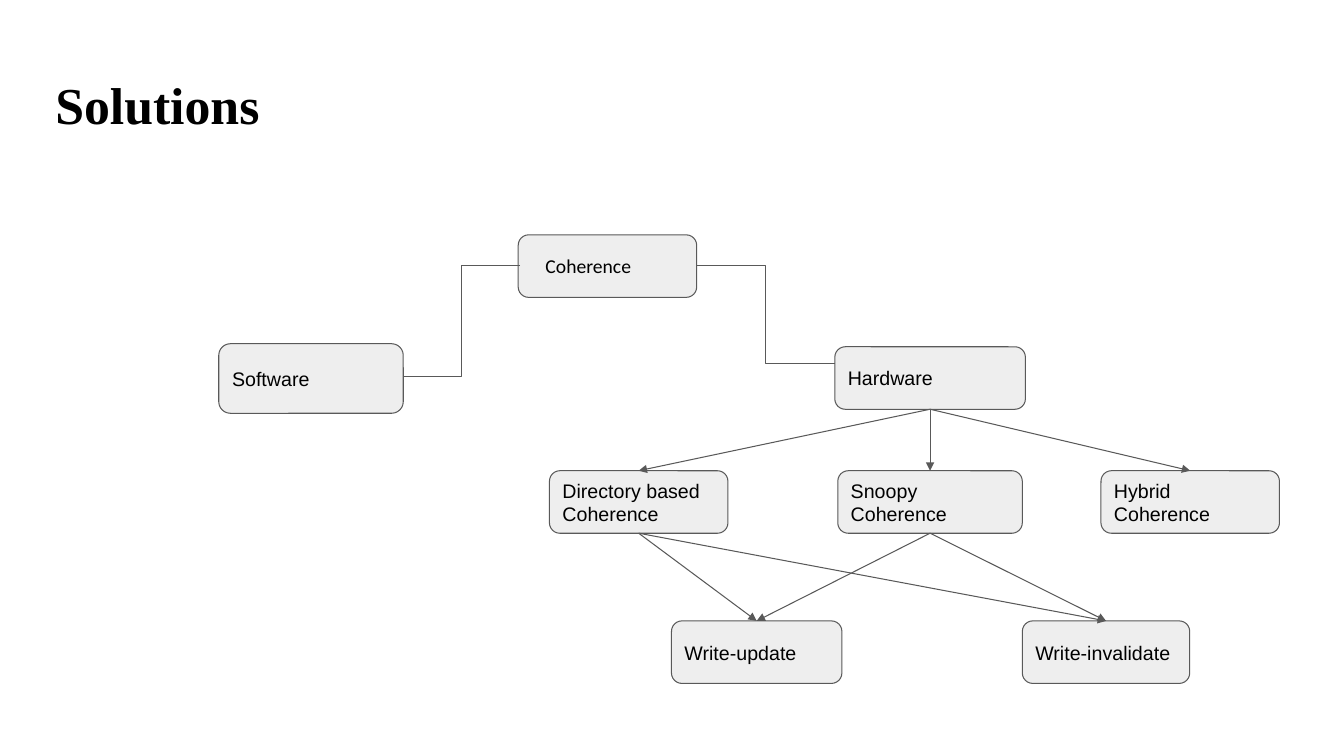
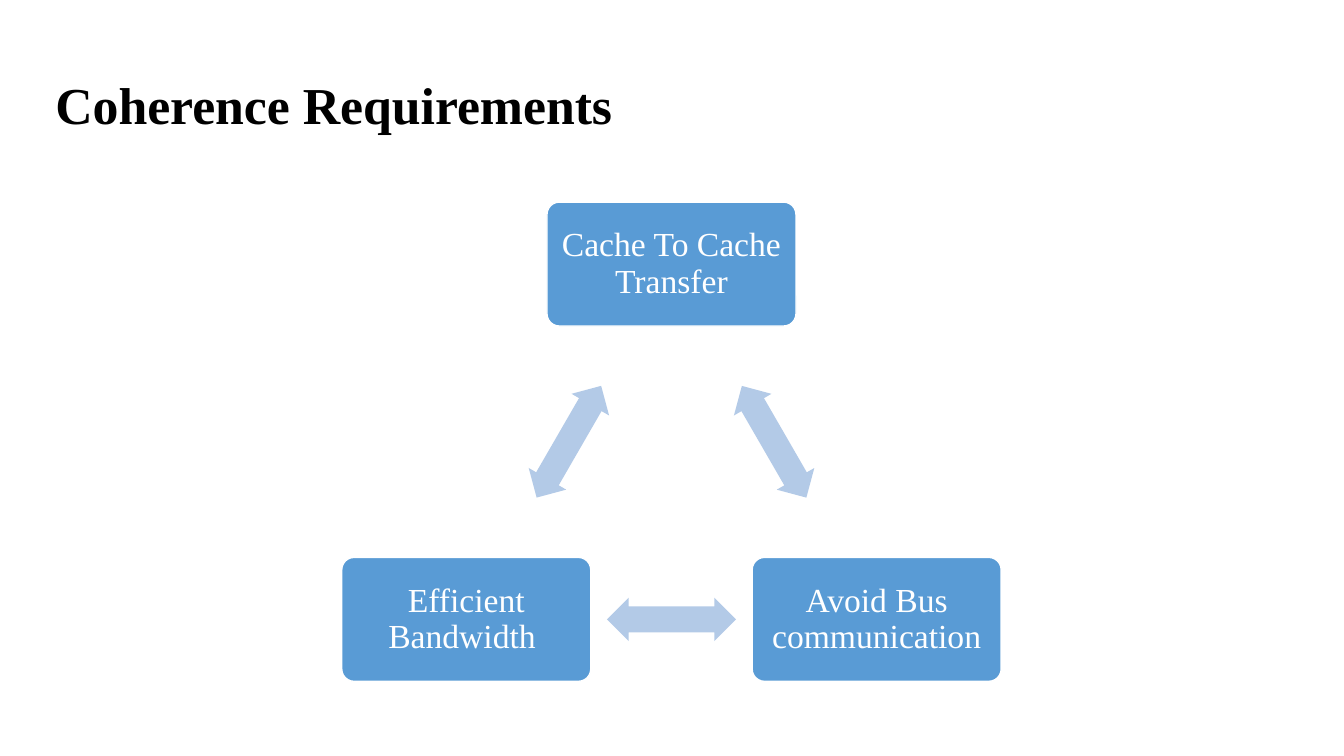
from dataclasses import dataclass
from math import cos, radians, sin

from lxml import etree
from pptx import Presentation
from pptx.dml.color import RGBColor
from pptx.enum.shapes import MSO_CONNECTOR, MSO_SHAPE
from pptx.enum.text import MSO_ANCHOR, PP_ALIGN
from pptx.oxml.ns import qn
from pptx.util import Inches, Pt

ROUND_RECT = MSO_SHAPE.ROUNDED_RECTANGLE
DOUBLE_ARROW = MSO_SHAPE.LEFT_RIGHT_ARROW
STRAIGHT, ELBOW = MSO_CONNECTOR.STRAIGHT, MSO_CONNECTOR.ELBOW
MIDDLE = MSO_ANCHOR.MIDDLE
LEFT, CENTER = PP_ALIGN.LEFT, PP_ALIGN.CENTER
TOP_SITE, BOTTOM_SITE = 0, 2


@dataclass(frozen=True)
class Theme:
    white: str = "FFFFFF"
    black: str = "000000"
    box: str = "EEEEEE"
    line: str = "595959"
    node: str = "599BD5"
    arrow: str = "B3CAE7"
    serif: str = "Times New Roman"
    sans: str = "Arial"
    body: str = "Calibri"
    title_size: int = 37
    node_size: int = 24
    box_size: int = 14
    line_width: float = 0.75


THEME = Theme()


def rgb(value):
    return RGBColor.from_string(value)


def set_attrs(target, values):
    for name, value in values.items():
        setattr(target, name, value)


def write(s, text, font, size, color, align=LEFT, bold=False,
          spacing=1.0, margins=(0.1, 0.1, 0.1, 0.1)):
    """Write one paragraph, centred vertically, into a shape."""
    tf = s.text_frame
    left, top, right, bottom = map(Inches, margins)
    set_attrs(tf, {"word_wrap": True, "vertical_anchor": MIDDLE,
                   "margin_left": left, "margin_top": top,
                   "margin_right": right, "margin_bottom": bottom})
    p = tf.paragraphs[0]
    set_attrs(p, {"alignment": align, "line_spacing": spacing})
    r = p.add_run()
    r.text = text
    set_attrs(r.font, {"name": font, "size": Pt(size), "bold": bold})
    r.font.color.rgb = rgb(color)


def add_slide(prs, title):
    """Add a white slide with its title."""
    slide = prs.slides.add_slide(prs.slide_layouts[6])
    slide.background.fill.solid()
    slide.background.fill.fore_color.rgb = rgb(THEME.white)
    s = slide.shapes.add_textbox(*map(Inches, (0.45, 0.65, 12.42, 0.83)))
    write(s, title, THEME.serif, THEME.title_size, THEME.black, bold=True,
          spacing=0.9, margins=(0.1, 0.05, 0.1, 0.05))
    return slide


def add_shape(slide, kind, at, fill, line=None, width=1):
    s = slide.shapes.add_shape(kind, *map(Inches, at))
    s.shadow.inherit = False
    s.fill.solid()
    s.fill.fore_color.rgb = rgb(fill)
    if line:
        s.line.color.rgb = rgb(line)
        s.line.width = Pt(width)
    else:
        s.line.fill.background()
    return s


def add_box(slide, text, at, font=THEME.sans, indent=0.1):
    s = add_shape(slide, ROUND_RECT, at, THEME.box, THEME.line,
                  THEME.line_width)
    write(s, text, font, THEME.box_size, THEME.black,
          margins=(indent, 0.1, 0.1, 0.1))
    return s


def add_line(slide, kind, start=(0, 0), end=(0, 0)):
    c = slide.shapes.add_connector(kind, *map(Inches, start + end))
    c.line.color.rgb = rgb(THEME.line)
    c.line.width = Pt(THEME.line_width)
    etree.SubElement(c._element.spPr, qn("a:effectLst"))
    return c


def add_arrow(slide, parent, child):
    """Join the bottom of one box to the top of another."""
    c = add_line(slide, STRAIGHT)
    c.begin_connect(parent, BOTTOM_SITE)
    c.end_connect(child, TOP_SITE)
    etree.SubElement(c.line._get_or_add_ln(), qn("a:tailEnd"),
                     type="triangle")


def add_solutions(prs):
    slide = add_slide(prs, "Solutions")
    # Tree of boxes
    add_box(slide, "Coherence", (5.14, 2.33, 1.77, 0.62), THEME.body, 0.24)
    add_box(slide, "Software", (2.17, 3.41, 1.83, 0.69))
    hardware = add_box(slide, "Hardware", (8.28, 3.44, 1.89, 0.62))

    row_top, leaf_top, height = 4.67, 6.16, 0.62
    directory, snoopy, hybrid, update, invalidate = [
        add_box(slide, text, (left, top, width, height))
        for text, left, top, width in (
            ("Directory based Coherence", 5.45, row_top, 1.77),
            ("Snoopy Coherence", 8.31, row_top, 1.83),
            ("Hybrid Coherence", 10.92, row_top, 1.77),
            ("Write-update", 6.66, leaf_top, 1.69),
            ("Write-invalidate", 10.14, leaf_top, 1.66))]

    # Elbow lines from the root
    add_line(slide, ELBOW, (6.91, 2.63), (8.28, 3.61))
    add_line(slide, ELBOW, (5.16, 2.63), (4, 3.74))

    # Arrows down the tree
    for parent, children in ((hardware, (snoopy, hybrid, directory)),
                             (snoopy, (update, invalidate)),
                             (directory, (update, invalidate))):
        for child in children:
            add_arrow(slide, parent, child)


def add_requirements(prs):
    slide = add_slide(prs, "Coherence Requirements")
    center_x, center_y, radius = 6.66, 4.97, 2.35
    node_w, node_h = 2.47, 1.23
    arrow_w, arrow_h = 1.28, 0.43

    def around(angle, distance, width, height):
        """Place a box by its middle, at an angle around the cycle."""
        x = center_x + distance * cos(radians(angle))
        y = center_y + distance * sin(radians(angle))
        return x - width / 2, y - height / 2, width, height

    labels = ("Cache To Cache Transfer", "Avoid Bus communication",
              "Efficient Bandwidth ")
    step = 360 / len(labels)
    for i, label in enumerate(labels):
        angle = i * step - 90
        # Node on the circle
        node = add_shape(slide, ROUND_RECT,
                         around(angle, radius, node_w, node_h),
                         THEME.node, THEME.white)
        node.adjustments[0] = 0.1
        write(node, label, THEME.serif, THEME.node_size, THEME.white, CENTER,
              spacing=0.9)
        # Arrow halfway to the next node
        half = step / 2
        arrow = add_shape(slide, DOUBLE_ARROW,
                          around(angle + half, radius * cos(radians(half)),
                                 arrow_w, arrow_h), THEME.arrow)
        arrow.adjustments[0] = 0.6
        arrow.adjustments[1] = 0.5
        arrow.rotation = i * step + half


def main():
    prs = Presentation()
    prs.slide_width, prs.slide_height = Inches(13.33), Inches(7.5)
    add_solutions(prs)
    add_requirements(prs)
    prs.save("out.pptx")


if __name__ == "__main__":
    main()
